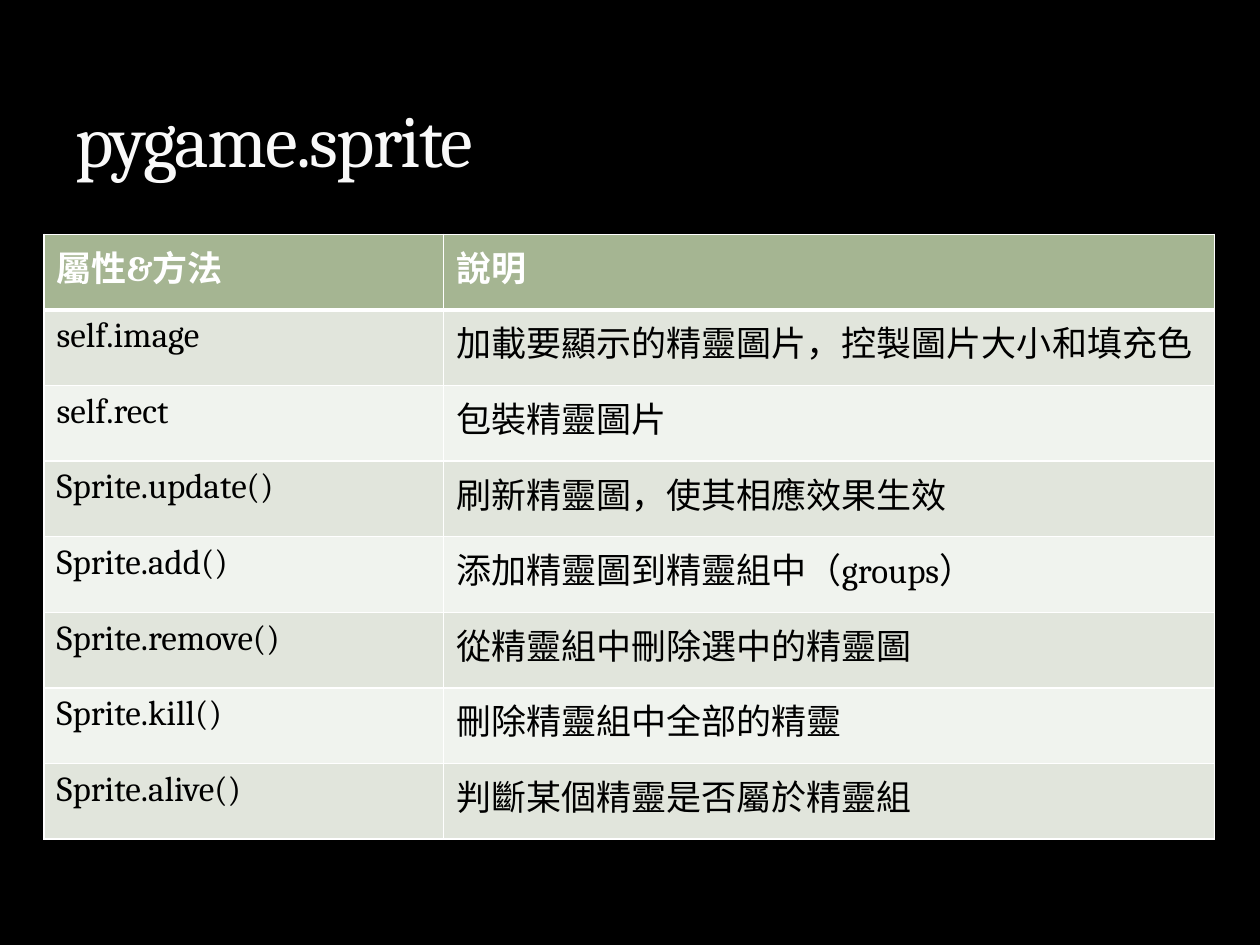
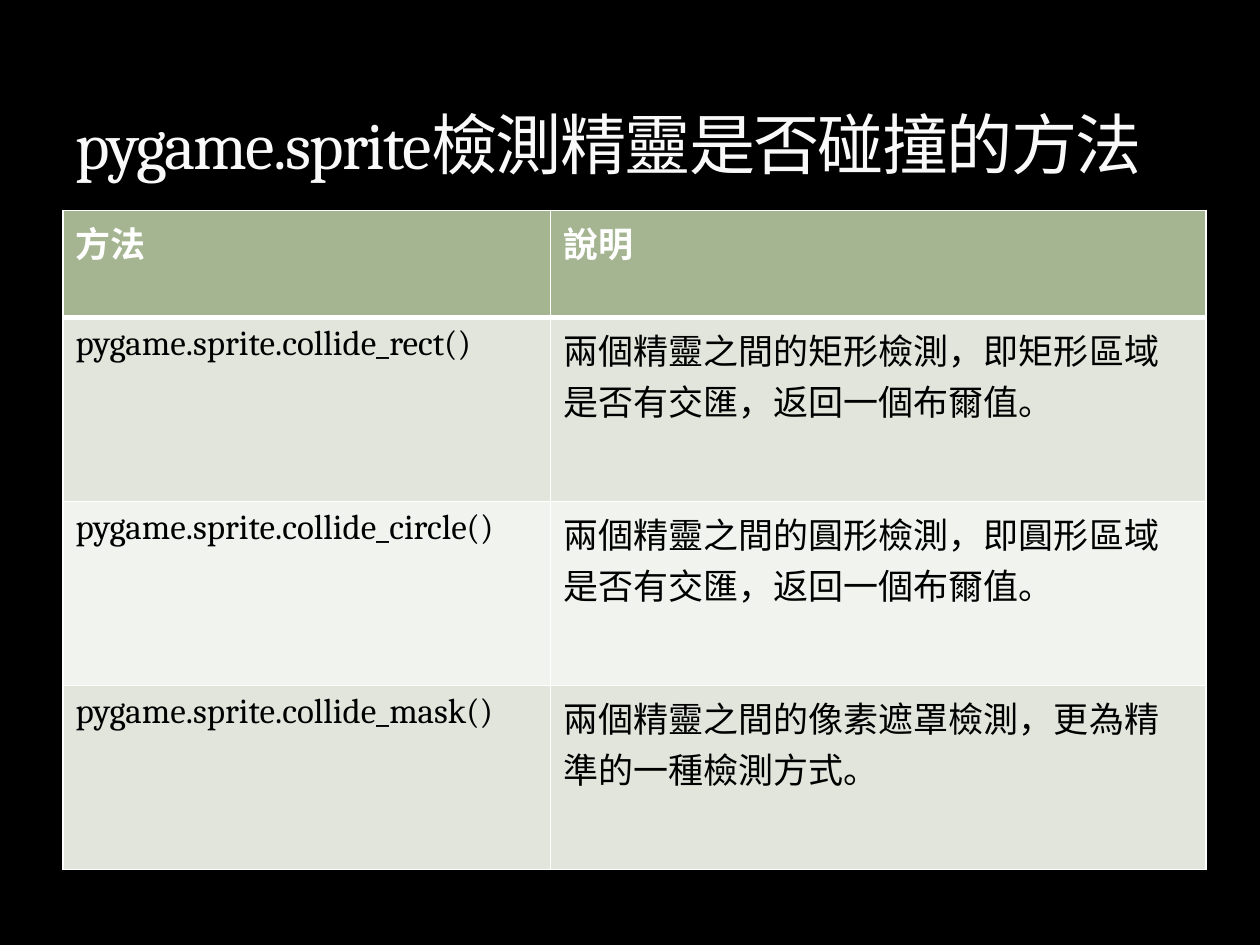
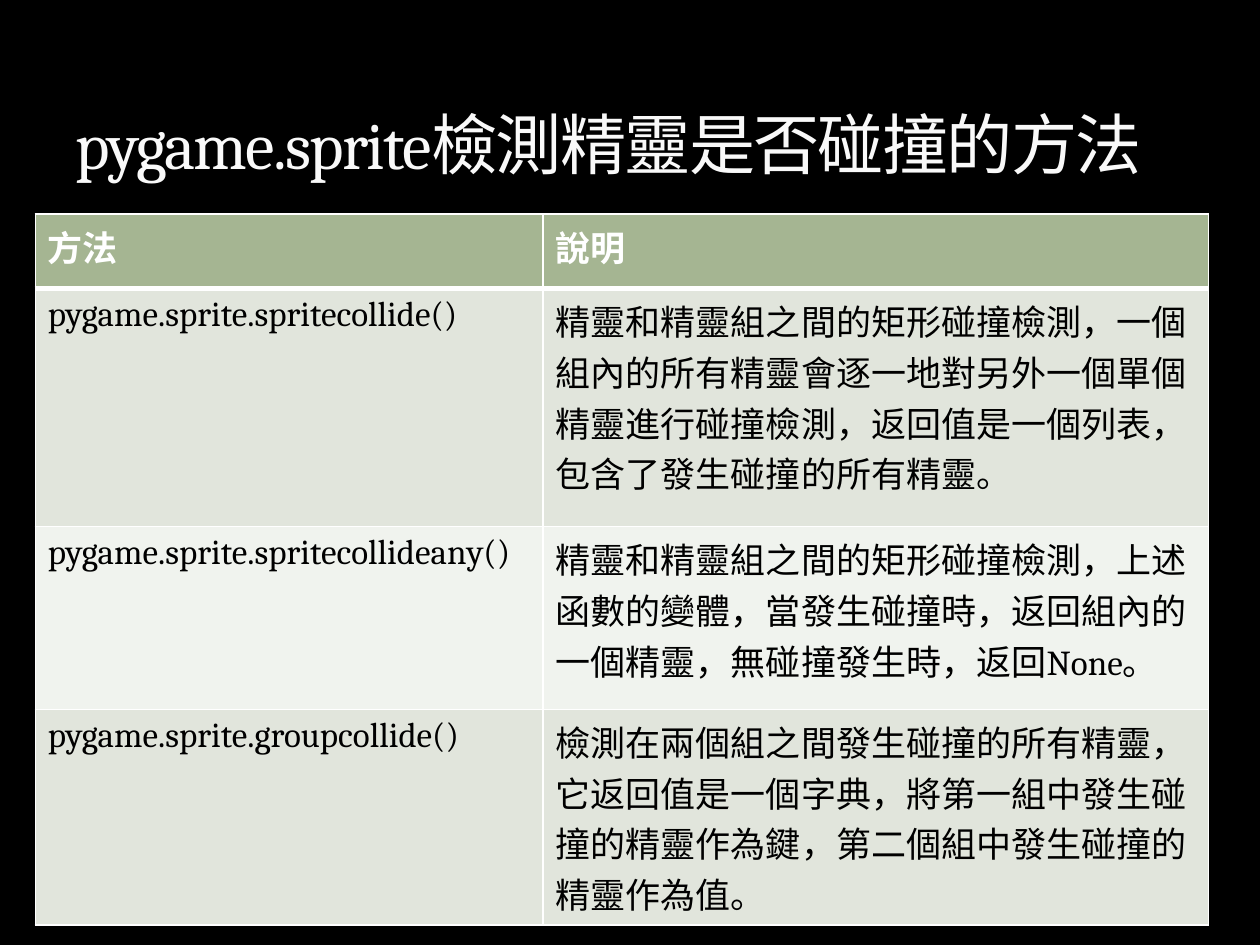
from lxml import etree
from pptx import Presentation
from pptx import util as u
from pptx.dml.color import RGBColor
from pptx.enum import text
from pptx.oxml import ns

FONT = "Cambria"
COLORS = {
    "background": "000000",
    "title": "F9F9F9",
    "header": "A5B592",
    "header_text": "FFFFFF",
    "odd_row": "E1E5DC",
    "even_row": "F0F3EE",
    "body_text": "000000",
    "border": "FFFFFF",
}
COLLISION_TITLE = "pygame.sprite檢測精靈是否碰撞的方法"


def color(name):
    return RGBColor.from_string(COLORS[name])


class SpriteDeck:
    def __init__(self):
        self.deck = Presentation()
        self.deck.slide_width = u.Inches(10)
        self.deck.slide_height = u.Inches(7.5)
        self.page = None

    def add_page(self, title, size):
        self.page = self.deck.slides.add_slide(self.deck.slide_layouts[5])
        background = self.page.background.fill
        background.solid()
        background.fore_color.rgb = color("background")
        self.add_title(title, size)

    def add_title(self, title, size):
        box = self.page.shapes.title
        box.left, box.top = u.Inches(0.5), u.Inches(0.17)
        box.width, box.height = u.Inches(9), u.Inches(1.33)
        frame = box.text_frame
        frame.text = title
        frame.word_wrap = True
        frame.auto_size = text.MSO_AUTO_SIZE.NONE
        frame.vertical_anchor = text.MSO_ANCHOR.BOTTOM
        para = frame.paragraphs[0]
        para.alignment = text.PP_ALIGN.LEFT
        span = para.runs[0]
        self.format_span(span, size, "title")
        span.font._element.set("spc", "-100")

    def format_span(self, span, size, color_name, bold=False):
        span.font.name = FONT
        span.font.size = u.Pt(size)
        span.font.bold = bold
        span.font.color.rgb = color(color_name)

    def add_table(self, left, top, widths, heights, rows):
        table = self.page.shapes.add_table(
            len(rows), len(widths), u.Inches(left), u.Inches(top),
            u.Inches(sum(widths)), u.Inches(sum(heights))).table
        for column, width in zip(table.columns, widths):
            column.width = u.Inches(width)
        for row, height in zip(table.rows, heights):
            row.height = u.Inches(height)
        for row_index, row in enumerate(rows):
            for column_index, words in enumerate(row):
                self.fill_cell(table.cell(row_index, column_index), words, row_index)

    def fill_cell(self, cell, words, row_index):
        is_header = row_index == 0
        cell.text_frame.text = words
        span = cell.text_frame.paragraphs[0].runs[0]
        self.format_span(span, 20, "header_text" if is_header else "body_text", is_header)
        self.add_border(cell, "L", 1)
        self.add_border(cell, "R", 1)
        self.add_border(cell, "T", 3 if row_index == 1 else 1)
        self.add_border(cell, "B", 3 if is_header else 1)
        band = "odd_row" if row_index % 2 else "even_row"
        cell.fill.solid()
        cell.fill.fore_color.rgb = color("header" if is_header else band)

    def add_border(self, cell, side, width):
        properties = cell._tc.get_or_add_tcPr()
        line = etree.SubElement(properties, ns.qn(f"a:ln{side}"), w=str(u.Pt(width)))
        fill = etree.SubElement(line, ns.qn("a:solidFill"))
        etree.SubElement(fill, ns.qn("a:srgbClr"), val=COLORS["border"])


def main():
    sprites = SpriteDeck()

    sprites.add_page("pygame.sprite", 42)
    sprites.add_table(0.35, 1.86, [3.17, 6.12], [0.6] * 8, [
        ("屬性&方法", "說明"),
        ("self.image", "加載要顯示的精靈圖片，控製圖片大小和填充色"),
        ("self.rect", "包裝精靈圖片"),
        ("Sprite.update()", "刷新精靈圖，使其相應效果生效"),
        ("Sprite.add()", "添加精靈圖到精靈組中（groups）"),
        ("Sprite.remove()", "從精靈組中刪除選中的精靈圖"),
        ("Sprite.kill()", "刪除精靈組中全部的精靈"),
        ("Sprite.alive()", "判斷某個精靈是否屬於精靈組"),
    ])

    sprites.add_page(COLLISION_TITLE, 37.8)
    sprites.add_table(0.5, 1.67, [3.87, 5.2], [0.85] + [1.46] * 3, [
        ("方法", "說明"),
        ("pygame.sprite.collide_rect()",
         "兩個精靈之間的矩形檢測，即矩形區域是否有交匯，返回一個布爾值。"),
        ("pygame.sprite.collide_circle()",
         "兩個精靈之間的圓形檢測，即圓形區域是否有交匯，返回一個布爾值。"),
        ("pygame.sprite.collide_mask()",
         "兩個精靈之間的像素遮罩檢測，更為精準的一種檢測方式。"),
    ])

    sprites.add_page(COLLISION_TITLE, 37.8)
    sprites.add_table(0.28, 1.7, [4.03, 5.28], [0.59, 1.89, 1.45, 1.45], [
        ("方法", "說明"),
        ("pygame.sprite.spritecollide()",
         "精靈和精靈組之間的矩形碰撞檢測，一個組內的所有精靈會逐一地對另外一個單個精靈"
         "進行碰撞檢測，返回值是一個列表，包含了發生碰撞的所有精靈。"),
        ("pygame.sprite.spritecollideany()",
         "精靈和精靈組之間的矩形碰撞檢測，上述函數的變體，當發生碰撞時，"
         "返回組內的一個精靈，無碰撞發生時，返回None。"),
        ("pygame.sprite.groupcollide()",
         "檢測在兩個組之間發生碰撞的所有精靈，它返回值是一個字典，"
         "將第一組中發生碰撞的精靈作為鍵，第二個組中發生碰撞的精靈作為值。"),
    ])

    sprites.deck.save("out.pptx")


if __name__ == "__main__":
    main()
